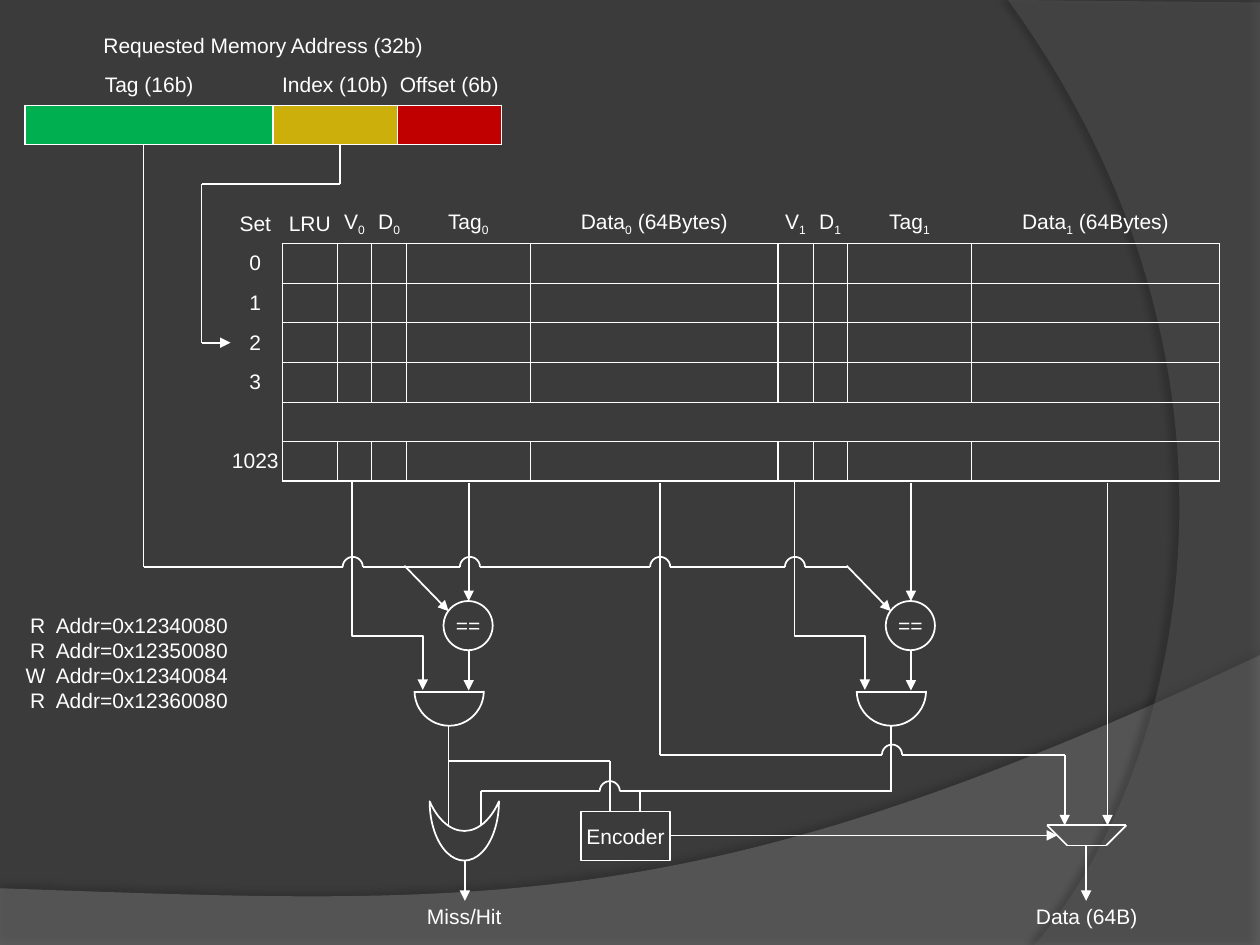
import itertools
import pptx
import pptx.dml.color
import pptx.enum.shapes
import pptx.enum.text
import pptx.oxml
import pptx.oxml.ns
import pptx.util

Inches, Pt = pptx.util.Inches, pptx.util.Pt
SHAPE = pptx.enum.shapes.MSO_SHAPE
LINK = pptx.enum.shapes.MSO_CONNECTOR
ALIGN = pptx.enum.text.PP_ALIGN
WHITE = "FFFFFF"
NO_GRID = "{2D5ABB26-0587-4C30-8999-92F81FD0307C}"
HOP = 0.16


def color(code):
    return pptx.dml.color.RGBColor.from_string(code)


def xml(tag, rest):
    return pptx.oxml.parse_xml(f"<a:{tag} {pptx.oxml.ns.nsdecls('a')} {rest}")


def write(frame, text, align=ALIGN.CENTER):
    """Fill a frame line by line; the character after _ is a subscript."""
    frame.margin_left = frame.margin_right = frame.margin_top = frame.margin_bottom = 0
    frame.word_wrap = True
    frame.text = text.replace("_", "")
    for para, line in zip(frame.paragraphs, text.split("\n")):
        para.alignment = align
        head, _, rest = line.partition("_")
        para.runs[0].text = head
        for piece in filter(None, (rest[:1], rest[1:])):
            para.add_run().text = piece
        for num, run in enumerate(para.runs):
            run.font.size, run.font.name = Pt(12), "Arial"
            run.font.color.rgb = color(WHITE)
            if num == 1:
                run.font._element.set("baseline", "-25000")


def place(box, left, top, width, height):
    return map(Inches, (box[0] + left, box[1] + top, width, height))


def label(slide, box, *area, text, align=ALIGN.CENTER):
    write(slide.shapes.add_textbox(*place(box, *area)).text_frame, text, align)


def pen(line):
    line.color.rgb, line.width = color(WHITE), Pt(1)


def part(slide, box, kind, *area, text=""):
    """Add an outlined shape without fill."""
    shape = slide.shapes.add_shape(kind, *place(box, *area))
    shape.shadow.inherit = False
    shape.fill.background()
    pen(shape.line)
    if text:
        write(shape.text_frame, text)
        shape.text_frame.vertical_anchor = pptx.enum.text.MSO_ANCHOR.MIDDLE
    return shape


def link(slide, box, start, end, arrow=False, kind=LINK.STRAIGHT):
    ends = (box[axis] + point[axis] for point in (start, end) for axis in (0, 1))
    line = slide.shapes.add_connector(kind, *map(Inches, ends))
    pen(line.line)
    if arrow:
        line.line._get_or_add_ln().append(xml("tailEnd", 'type="triangle"/>'))
    line._element.spPr.append(xml("effectLst", "/>"))
    return line


def wire(slide, box, *points, arrow=False):
    """Join the points with straight lines; an arrow goes on the last one."""
    for start, end in itertools.pairwise(points):
        link(slide, box, start, end, arrow and end is points[-1])


def arc(slide, box, left, top, size, start, end):
    shape = part(slide, box, SHAPE.ARC, left, top, size, size)
    shape.adjustments[0], shape.adjustments[1] = start * 0.6, end * 0.6


def rail(slide, box, left, right, top, hops):
    """Draw a level wire that hops over the wires it crosses."""
    for mid in hops:
        arc(slide, box, mid - HOP / 2, top - HOP / 2, HOP, 180, 0)
        wire(slide, box, (left, top), (mid - HOP / 2, top))
        left = mid + HOP / 2
    wire(slide, box, (left, top), (right, top))


def curve(points, steps=60):
    for t in (step / steps for step in range(steps + 1)):
        share = ((1 - t) ** 3, 3 * t * (1 - t) ** 2, 3 * t * t * (1 - t), t ** 3)
        yield tuple(sum(s * p[axis] for s, p in zip(share, points)) for axis in (0, 1))


def sweep(slide, edge, corners, fill, alpha, shade, dist, angle):
    """Add a translucent shape with one curved edge and a soft shadow."""
    points = [(Inches(x), Inches(y)) for x, y in (*curve(edge), *corners)]
    build = slide.shapes.build_freeform(*points[0])
    build.add_line_segments(points[1:])
    shape = build.convert_to_shape()
    shape.fill.solid()
    shape.fill.fore_color.rgb = color(fill)
    tint = shape._element.spPr.find(".//" + pptx.oxml.ns.qn("a:srgbClr"))
    tint.append(xml("alpha", f'val="{alpha * 1000}"/>'))
    shape.line.fill.background()
    shape._element.spPr.append(xml("effectLst", (
        f'><a:outerShdw blurRad="{Pt(4)}" dist="{Pt(dist)}" dir="{angle * 60000}">'
        f'<a:srgbClr val="000000"><a:alpha val="{shade * 1000}"/></a:srgbClr>'
        '</a:outerShdw></a:effectLst>')))


def backdrop(slide):
    slide.background.fill.solid()
    slide.background.fill.fore_color.rgb = color("3B3B3B")
    sweep(slide, [(10, 5.2), (5.59, 7.29), (3.91, 7.19), (0, 7.05)],
          [(0, 7.5), (10, 7.5)], "7F7F7F", 45, 35, 3.5, 270)
    sweep(slide, [(8.21, 7.5), (9.35, 6.19), (10.18, 3), (8, 0)],
          [(10, 0.02), (10, 7.5)], "5E5E5E", 40, 45, 4, 180)


def grid(slide, box, rows, shares):
    """Add a bare table whose columns share the width of the box."""
    table = slide.shapes.add_table(rows, len(shares), *map(Inches, box)).table
    table._tbl.tblPr.find(pptx.oxml.ns.qn("a:tableStyleId")).text = NO_GRID
    table.first_row = table.horz_banding = False
    for col, share in zip(table.columns, shares):
        col.width = int(Inches(box[2]) * share / sum(shares))
    for cell in table.iter_cells():
        cell.fill.background()
        cell.margin_left = cell.margin_right = cell.margin_top = cell.margin_bottom = 0
        cell.vertical_anchor = pptx.enum.text.MSO_ANCHOR.MIDDLE
        cell.text_frame.paragraphs[0]._p.append(xml("endParaRPr", 'sz="1200"/>'))
    return table


def enter(cell, text):
    write(cell.text_frame, text)
    cell.text_frame._txBody.bodyPr.attrib.clear()


def frame(cell, *widths):
    """Set the left, right, top and bottom border widths in points."""
    for spot, (side, width) in enumerate(zip("LRTB", widths)):
        cell._tc.get_or_add_tcPr().insert(spot, xml("ln" + side, (
            f'w="{Pt(width)}"><a:solidFill><a:srgbClr val="{WHITE}"/></a:solidFill></a:ln{side}>')))


def address(slide, box):
    table = grid(slide, box, 3, [50, 25, 21])
    table.cell(0, 0).merge(table.cell(0, 2))
    enter(table.cell(0, 0), "Requested Memory Address (32b)")
    fields = [("Tag (16b)", "00B050"), ("Index (10b)", "CCAF0A"), ("Offset (6b)", "C00000")]
    for col, (name, fill) in enumerate(fields):
        enter(table.cell(1, col), name)
        cell = table.cell(2, col)
        cell.fill.solid()
        cell.fill.fore_color.rgb = color(fill)
        frame(cell, 1, 1, 1, 1)
    wire(slide, box, (2.5, 0.94), (2.5, 1.25), (1.4, 1.25), (1.4, 2.51), (1.63, 2.51), arrow=True)
    wire(slide, box, (0.94, 0.94), (0.94, 4.29))
    rail(slide, box, 0.94, 6.52, 4.29, [2.6, 3.53, 5.04, 6.11])


def cache(slide, box):
    table = grid(slide, box, 7, [11, 11] + [7, 7, 25, 50] * 2)
    heads = [name + num + more for num in "01" for name, more in (
        ("V_", ""), ("D_", ""), ("Tag_", ""), ("Data_", " (64Bytes)"))]
    for col, head in enumerate(["Set", "LRU", *heads]):
        enter(table.cell(0, col), head)
    for row, name in {1: "0", 2: "1", 3: "2", 4: "3", 6: "1023"}.items():
        enter(table.cell(row, 0), name)
    table.cell(5, 1).merge(table.cell(5, 9))
    for row, col in itertools.product(range(1, 7), range(1, 10)):
        cell = table.cell(row, col)
        if not cell.is_spanned:
            thick = (col in (1, 6), col in (5, 9) or cell.is_merge_origin, row == 1, row == 6)
            frame(cell, *(1 if edge else 0.5 for edge in thick))


def match(slide, box, drop):
    """Draw the tag comparator and AND gate of one way."""
    part(slide, box, SHAPE.OVAL, 0.8, 0.94, 0.39, 0.39, text="==")
    for points in ([(1, 0), (1, 0.94)], [(0.49, 0.66), (0.84, 1.02)], [(1, 1.34), (1, 1.65)]):
        wire(slide, box, *points, arrow=True)
    bend = link(slide, box, (-0.47, 0.54), (1.18, 1.1), True, LINK.ELBOW)
    bend._element.spPr.xfrm.set("rot", str(270 * 60000))
    bend._element.spPr.xfrm.set("flipH", "1")
    guide = bend._element.spPr.find(".//" + pptx.oxml.ns.qn("a:avLst"))
    guide.append(xml("gd", 'name="adj1" fmla="val 74200"/>'))
    arc(slide, box, 0.57, 1.38, 0.55, 359.8, 180)
    wire(slide, box, (0.57, 1.66), (1.12, 1.66))
    wire(slide, box, (0.84, 1.93), (0.84, drop))


def select(slide, box):
    """Draw the OR gate, the encoder and the data multiplexer."""
    rail(slide, box, 1.87, 5.08, 2.16, [3.71])
    rail(slide, box, 0.45, 3.71, 2.45, [1.47])
    for points in ([(1.87, 0), (1.87, 2.16)], [(0.19, 2.21), (1.47, 2.21), (1.47, 2.61)],
                   [(0.45, 2.45), (0.45, 2.72)], [(1.71, 2.45), (1.71, 2.61)],
                   [(4.94, 2.72), (5.57, 2.72), (5.41, 2.88), (5.1, 2.88), (4.94, 2.72)]):
        wire(slide, box, *points)
    for points in ([(5.08, 2.16), (5.08, 2.72)], [(5.42, 0), (5.42, 2.72)],
                   [(1.95, 2.8), (5.02, 2.8)], [(0.32, 3), (0.32, 3.32)],
                   [(5.25, 2.88), (5.25, 3.32)]):
        wire(slide, box, *points, arrow=True)
    part(slide, box, SHAPE.MOON, 0.08, 2.49, 0.47, 0.55).rotation = 270
    part(slide, box, SHAPE.RECTANGLE, 1.24, 2.61, 0.71, 0.39, text="Encoder")
    label(slide, box, 0, 3.34, 0.63, 0.2, text="Miss/Hit")
    label(slide, box, 4.84, 3.34, 0.83, 0.2, text="Data (64B)")


deck = pptx.Presentation()
deck.slide_width, deck.slide_height = Inches(10), Inches(7.5)
slide = deck.slides.add_slide(deck.slide_layouts[6])
backdrop(slide)
cache(slide, (1.81, 1.62, 7.87, 2.2))
address(slide, (0.2, 0.21, 3.78, 0.94))
for left, drop in ((2.72, 2.72), (6.23, 2.44)):
    match(slide, (left, 3.83), drop)
select(slide, (3.37, 3.83))
calls = ["R  Addr=0x12340080", "R  Addr=0x12350080", "W  Addr=0x12340084", "R  Addr=0x12360080"]
label(slide, (0.16, 4.86), 0, 0, 1.65, 0.81, text="\n".join(calls), align=ALIGN.RIGHT)
deck.save("out.pptx")
